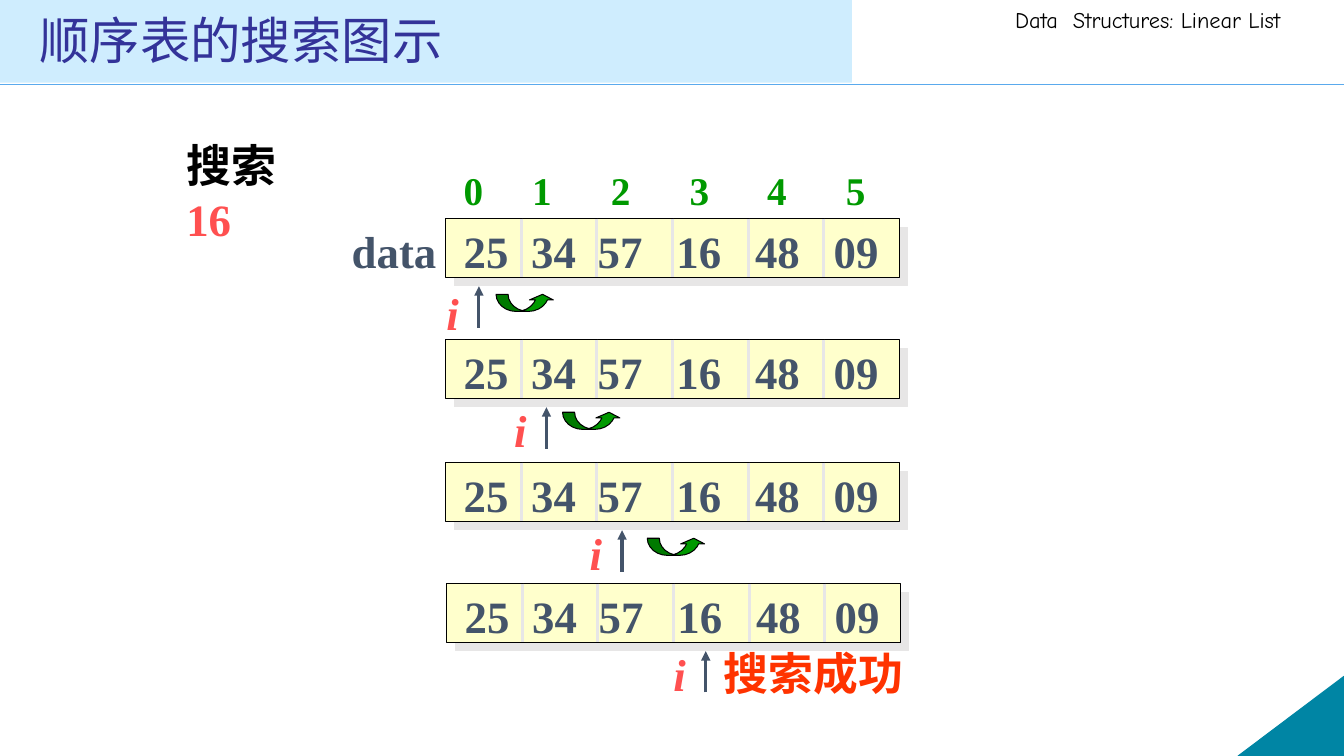
from dataclasses import dataclass
from pptx import Presentation
from pptx.dml.color import RGBColor
from pptx.enum.shapes import MSO_CONNECTOR, MSO_SHAPE
from pptx.enum.text import MSO_ANCHOR, MSO_AUTO_SIZE, PP_ALIGN
from pptx.oxml.ns import qn
from pptx.util import Inches, Pt
from lxml.etree import SubElement


@dataclass(frozen=True)
class Theme:
    rule: str = "5AAAED"
    corner: str = "0085A4"
    band: str = "CFEDFE"
    title: str = "333399"
    slate: str = "44546A"
    cell: str = "FFFFCC"
    gray: str = "E7E6E6"
    green: str = "009900"
    coral: str = "FF5050"
    found: str = "FF3300"
    black: str = "000000"
    serif: str = "Times New Roman"
    sans: str = "Arial"
    comic: str = "Comic Neue"
    han: str = "Noto Sans CJK SC"
    head: int = 36
    big: int = 32
    index: int = 28
    small: int = 16


class Board:
    def __init__(self, slide, theme):
        self.slide, self.theme = slide, theme

    def run(self, para, text, color, size, face, bold=True, slant=False):
        run = para.add_run()
        run.text = text
        font = run.font
        font.size, font.name = Pt(size), face
        font.bold, font.italic = bold, slant
        font.color.rgb = RGBColor.from_string(color)
        SubElement(run._r.get_or_add_rPr(), qn("a:ea"), typeface=self.theme.han)

    def title(self, text):
        shape = self.slide.shapes.title
        shape.left, shape.top = Inches(0.29), Inches(0.05)
        shape.width, shape.height = Inches(11.5), Inches(0.75)
        frame = shape.text_frame
        frame.auto_size = MSO_AUTO_SIZE.NONE
        frame.vertical_anchor = MSO_ANCHOR.MIDDLE
        para = frame.paragraphs[0]
        para.alignment, para.line_spacing = PP_ALIGN.LEFT, 0.9
        self.run(para, text, self.theme.title, self.theme.head, self.theme.han, False)
        shape.element.getparent().append(shape.element)

    def text(self, box, text, color, size=None, face=None, wrap=False, **style):
        shape = self.slide.shapes.add_textbox(*map(Inches, box))
        shape.text_frame.word_wrap = wrap
        para = shape.text_frame.paragraphs[0]
        self.run(para, text, color, size or self.theme.big, face or self.theme.serif, **style)
        return para

    def tabbed(self, box, words, stops, color, size):
        para = self.text(box, "\t".join(words), color, size, wrap=True)
        tabs = SubElement(para._p.get_or_add_pPr(), qn("a:tabLst"))
        for stop in stops:
            SubElement(tabs, qn("a:tab"), pos=str(Inches(stop)), algn="l")

    def shape(self, kind, box, fill, line=None):
        shape = self.slide.shapes.add_shape(kind, *map(Inches, box))
        shape.shadow.inherit = False
        shape.fill.solid()
        shape.fill.fore_color.rgb = RGBColor.from_string(fill)
        if line:
            shape.line.color.rgb = RGBColor.from_string(line)
            shape.line.width = Pt(0.75)
        else:
            shape.line.fill.background()
        return shape

    def line(self, start, end, color, width=2.25, arrow=False):
        line = self.slide.shapes.add_connector(
            MSO_CONNECTOR.STRAIGHT, *map(Inches, (*start, *end)))
        line.line.color.rgb = RGBColor.from_string(color)
        line.line.width = Pt(width)
        if arrow:
            SubElement(line.line._get_or_add_ln(), qn("a:tailEnd"), type="triangle")
        SubElement(line.element.spPr, qn("a:effectLst"))

    def corner(self):
        shape = self.shape(MSO_SHAPE.RIGHT_TRIANGLE, (12.28, 6.71, 1.05, 0.79),
                           self.theme.corner, self.theme.corner)
        shape.element.spPr.find(qn("a:xfrm")).set("flipH", "1")

    def row(self, left, top, words):
        theme = self.theme
        bar = self.shape(MSO_SHAPE.RECTANGLE, (left, top, 4.5, 0.58), theme.cell, theme.black)
        cast = SubElement(bar.element.spPr.find(qn("a:effectLst")), qn("a:outerShdw"),
                          dist=str(Pt(8.5)), dir="2700000", algn="ctr", rotWithShape="0")
        SubElement(cast, qn("a:srgbClr"), val=theme.gray)
        self.tabbed((left + 0.08, top, 4.49, 0.63), words,
                    (0.67, 1.33, 2.11, 2.89, 3.67), theme.slate, theme.big)
        for col in range(1, len(words)):
            x = left + 0.75 * col
            self.line((x, top), (x, top + 0.58), theme.gray)

    def mark(self, x, top, drop):
        self.line((x, top + 1.08), (x, top + 0.67), self.theme.slate, arrow=True)
        self.text((x - 0.42, top + drop, 0.32, 0.63), "i", self.theme.coral, slant=True)

    def swoop(self, left, top):
        shape = self.shape(MSO_SHAPE.CURVED_UP_ARROW, (left, top, 0.58, 0.17),
                           self.theme.green, self.theme.black)
        for spot, value in enumerate((0.7, 1.4, 0.333)):
            shape.adjustments[spot] = value


def main():
    deck = Presentation()
    deck.slide_width, deck.slide_height = Inches(13.33), Inches(7.5)
    theme = Theme()
    board = Board(deck.slides.add_slide(deck.slide_layouts[5]), theme)

    board.line((0, 0.84), (13.33, 0.84), theme.rule, 1)
    board.corner()
    board.text((9.97, 0.01, 3.36, 0.37), "Data  Structures: Linear List",
               theme.black, theme.small, theme.comic, wrap=True, bold=False)
    board.shape(MSO_SHAPE.RECTANGLE, (-0.03, -0.07, 8.48, 0.89), theme.band)
    board.title("顺序表的搜索图示")

    goal = board.text((1.75, 1.32, 1.66, 1.17), "搜索", theme.black, wrap=True)
    goal.add_line_break()
    board.run(goal, "16", theme.coral, theme.big, theme.serif)
    board.text((3.39, 2.17, 1.05, 0.64), "data", theme.slate)
    board.tabbed((4.5, 1.6, 4.92, 0.57), "012345",
                 (0.68, 1.46, 2.24, 3.01, 3.79), theme.green, theme.index)

    words = ("25", "34", "57", "16", "48", "09")
    steps = (
        (4.42, 2.17, 4.75, 0.62, (4.92, 2.92)),
        (4.42, 3.37, 5.42, 0.58, (5.58, 4.09)),
        (4.42, 4.59, 6.17, 0.58, (6.42, 5.34)),
        (4.43, 5.79, 7.0, 0.58, None),
    )
    for left, top, x, drop, hop in steps:
        board.row(left, top, words)
        board.mark(x, top, drop)
        if hop:
            board.swoop(*hop)
    board.text((7.08, 6.36, 2, 0.64), "搜索成功", theme.found, face=theme.sans)

    deck.save("out.pptx")


if __name__ == "__main__":
    main()
